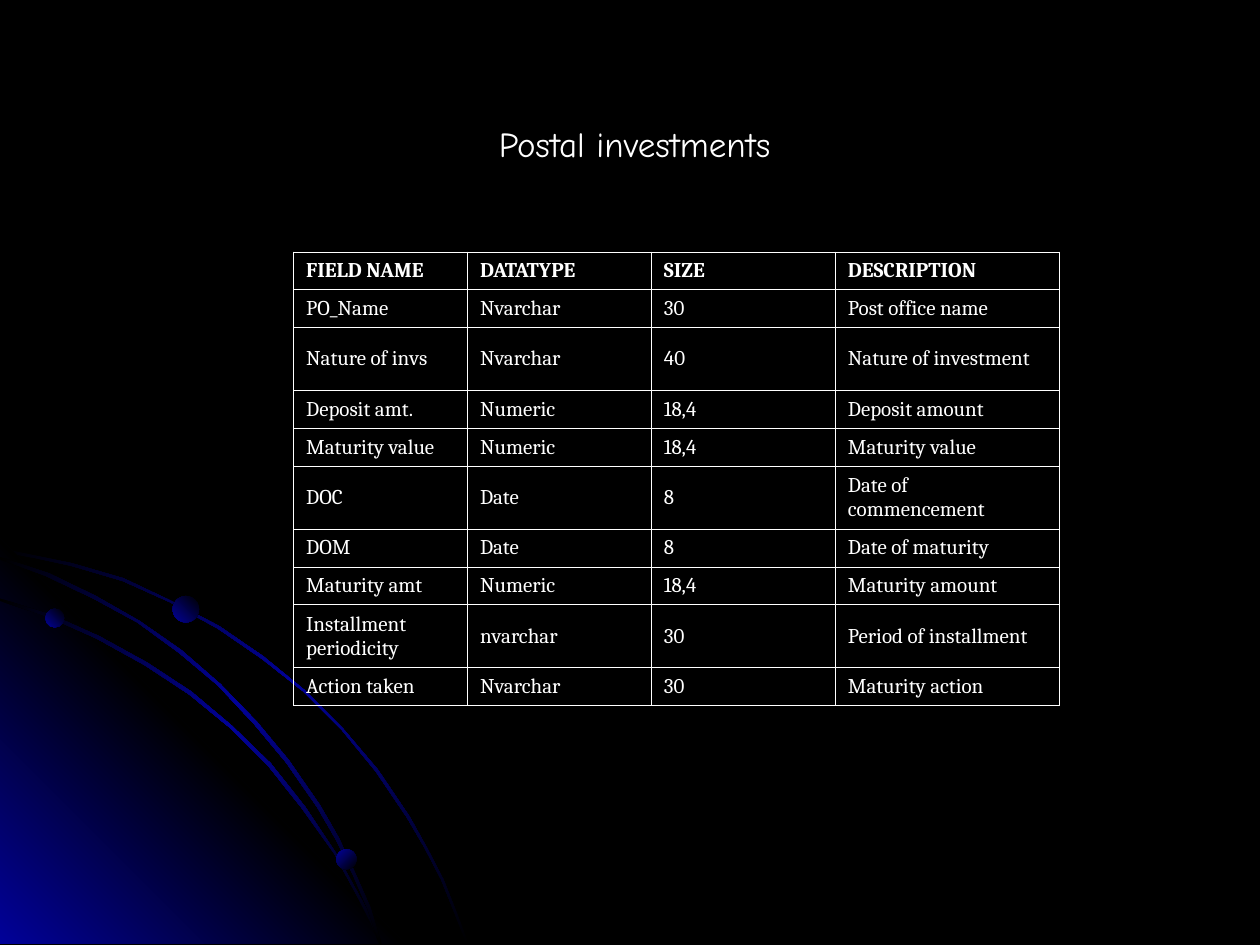
from lxml import etree
from pptx import Presentation
from pptx import util as u
from pptx.dml import color
from pptx.enum import shapes, text
from pptx.oxml import ns

COLOURS = {"night": "000000", "glow": "010199", "white": "FFFFFF"}
ARC_STOPS = [(0, "night"), (50, "glow"), (100, "night")]
CORNER_STOPS = [(0, "glow"), (50, "night"), (100, "glow")]
PLANET_STOPS = [(0, "night"), (100, "glow")]

CORNER = [(3.22, 7.49), (0, 7.49), (0, 4.27)]
OUTER_ARC = [
    (0.57, 4.47), (0.28, 4.41), (0, 4.35), (0, 4.38), (0.28, 4.43), (0.56, 4.49),
    (0.97, 4.61), (1.35, 4.78), (1.73, 4.99), (2.08, 5.23), (2.41, 5.49),
    (2.71, 5.79), (2.98, 6.12), (3.23, 6.49), (3.37, 6.73), (3.5, 6.98),
    (3.6, 7.23), (3.7, 7.49), (3.72, 7.49), (3.62, 7.23), (3.52, 6.98),
    (3.39, 6.73), (3.25, 6.48), (3, 6.11), (2.72, 5.78), (2.42, 5.48),
    (2.09, 5.21), (1.74, 4.97), (1.36, 4.77), (0.98, 4.59),
]
INNER_ARC = [
    (2.85, 7.14), (2.94, 7.32), (3.01, 7.49), (3.03, 7.49), (2.96, 7.3),
    (2.86, 7.12), (2.66, 6.76), (2.42, 6.4), (2.15, 6.06), (1.84, 5.76),
    (1.52, 5.49), (1.17, 5.26), (0.79, 5.05), (0.41, 4.88), (0, 4.75),
    (0, 4.77), (0.39, 4.9), (0.77, 5.07), (1.15, 5.28), (1.5, 5.51),
    (1.83, 5.78), (2.13, 6.08), (2.4, 6.42), (2.65, 6.77),
]
MIDDLE_ARC = [
    (0, 4.42), (0, 4.44), (0.36, 4.57), (0.74, 4.75), (1.09, 4.94), (1.42, 5.18),
    (1.73, 5.44), (2.02, 5.75), (2.27, 6.05), (2.52, 6.41), (2.67, 6.67),
    (2.8, 6.94), (2.92, 7.22), (3.01, 7.49), (3.03, 7.49), (2.94, 7.2),
    (2.82, 6.93), (2.69, 6.65), (2.54, 6.39), (2.29, 6.03), (2.04, 5.73),
    (1.75, 5.43), (1.44, 5.16), (1.11, 4.93), (0.76, 4.73), (0.39, 4.55),
]
BACKDROP = [
    (OUTER_ARC, ARC_STOPS, 225),
    (CORNER, CORNER_STOPS, 135),
    (INNER_ARC, ARC_STOPS, 225),
    (MIDDLE_ARC, ARC_STOPS, 225),
]
PLANETS = [(0.36, 4.83, 0.15, 135), (2.67, 6.74, 0.16, 225), (1.37, 4.73, 0.21, 135)]

FIELDS = [
    ("FIELD NAME", "DATATYPE", "SIZE", "DESCRIPTION"),
    ("PO_Name", "Nvarchar", "30", "Post office name"),
    ("Nature of invs", "Nvarchar", "40", "Nature of investment"),
    ("Deposit amt.", "Numeric", "18,4", "Deposit amount"),
    ("Maturity value", "Numeric", "18,4", "Maturity value"),
    ("DOC", "Date", "8", "Date of commencement"),
    ("DOM", "Date", "8", "Date of maturity"),
    ("Maturity amt", "Numeric", "18,4", "Maturity amount"),
    ("Installment periodicity", "nvarchar", "30", "Period of installment"),
    ("Action taken", "Nvarchar", "30", "Maturity action"),
]
COLUMN_WIDTHS = [1.38, 1.46, 1.46, 1.78]
ROW_HEIGHT, TALL_ROW_HEIGHT = 0.3, 0.5
TALL_ROWS = {2, 5, 8}


def write_text(frame, content, font="Cambria", size=12, bold=False, colour="white"):
    para = frame.paragraphs[0]
    para.alignment = text.PP_ALIGN.LEFT
    span = para.add_run()
    span.text = content
    span.font.name = font
    span.font.size = u.Pt(size)
    span.font.bold = bold
    span.font.color.rgb = color.RGBColor.from_string(COLOURS[colour])


class SlideBuilder:
    def __init__(self, deck):
        self.page = deck.slides.add_slide(deck.slide_layouts[5])
        self.border_width = u.Pt(0.45)

    def background(self, colour):
        fill = self.page.background.fill
        fill.solid()
        fill.fore_color.rgb = color.RGBColor.from_string(COLOURS[colour])

    def title(self, content, left, top, width, height):
        box = self.page.shapes.title
        box.left, box.top = u.Inches(left), u.Inches(top)
        box.width, box.height = u.Inches(width), u.Inches(height)
        frame = box.text_frame
        frame.word_wrap = True
        frame.auto_size = text.MSO_AUTO_SIZE.NONE
        frame.vertical_anchor = text.MSO_ANCHOR.MIDDLE
        write_text(frame, content, font="Comic Neue", size=20)

    def gradient(self, shape, stops, angle):
        shape.shadow.inherit = False
        shape.line.fill.background()
        shape.fill.gradient()
        shape.fill.gradient_angle = 360 - angle
        stop_list = shape.element.spPr.find(ns.qn("a:gradFill")).find(ns.qn("a:gsLst"))
        for old_stop in list(stop_list):
            stop_list.remove(old_stop)
        for position, colour in stops:
            stop = etree.SubElement(stop_list, ns.qn("a:gs"), pos=str(position * 1000))
            etree.SubElement(stop, ns.qn("a:srgbClr"), val=COLOURS[colour])

    def outline(self, points, stops, angle):
        corners = [(u.Inches(x), u.Inches(y)) for x, y in points]
        builder = self.page.shapes.build_freeform(*corners[0])
        builder.add_line_segments(corners[1:], close=True)
        self.gradient(builder.convert_to_shape(), stops, angle)

    def planet(self, left, top, size, angle):
        planet = self.page.shapes.add_shape(
            shapes.MSO_SHAPE.OVAL,
            u.Inches(left), u.Inches(top), u.Inches(size), u.Inches(size),
        )
        self.gradient(planet, PLANET_STOPS, angle)

    def cell_borders(self, cell):
        properties = cell._tc.get_or_add_tcPr()
        for index, side in enumerate(("lnL", "lnR", "lnT", "lnB")):
            line = etree.Element(ns.qn(f"a:{side}"), w=str(self.border_width))
            fill = etree.SubElement(line, ns.qn("a:solidFill"))
            etree.SubElement(fill, ns.qn("a:srgbClr"), val=COLOURS["white"])
            properties.insert(index, line)

    def table(self, rows, left, top, widths, heights):
        table = self.page.shapes.add_table(
            len(rows), len(widths), u.Inches(left), u.Inches(top),
            u.Inches(sum(widths)), u.Inches(sum(heights)),
        ).table
        table.first_row = table.horz_banding = False
        for column, width in zip(table.columns, widths):
            column.width = u.Inches(width)
        for row_index, values in enumerate(rows):
            table.rows[row_index].height = u.Inches(heights[row_index])
            for column_index, value in enumerate(values):
                cell = table.cell(row_index, column_index)
                cell.fill.background()
                cell.vertical_anchor = text.MSO_ANCHOR.MIDDLE
                self.cell_borders(cell)
                write_text(cell.text_frame, value, bold=row_index == 0)


def main():
    deck = Presentation()
    deck.slide_width, deck.slide_height = u.Inches(10), u.Inches(7.5)
    slide = SlideBuilder(deck)
    slide.background("night")
    for points, stops, angle in BACKDROP:
        slide.outline(points, stops, angle)
    for planet in PLANETS:
        slide.planet(*planet)
    slide.title("Postal investments", 3.86, 0.92, 2.67, 0.44)
    heights = [
        TALL_ROW_HEIGHT if index in TALL_ROWS else ROW_HEIGHT
        for index in range(len(FIELDS))
    ]
    slide.table(FIELDS, 2.33, 2, COLUMN_WIDTHS, heights)
    deck.save("out.pptx")


if __name__ == "__main__":
    main()
